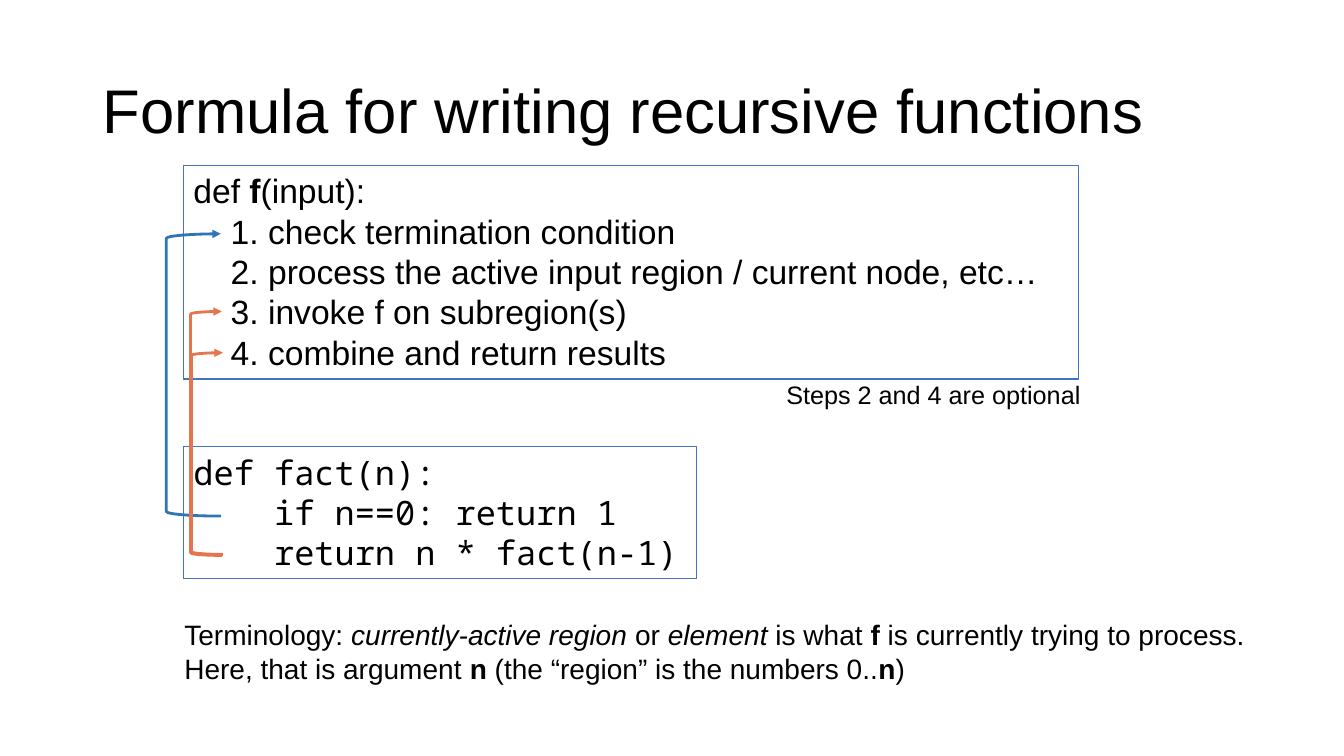
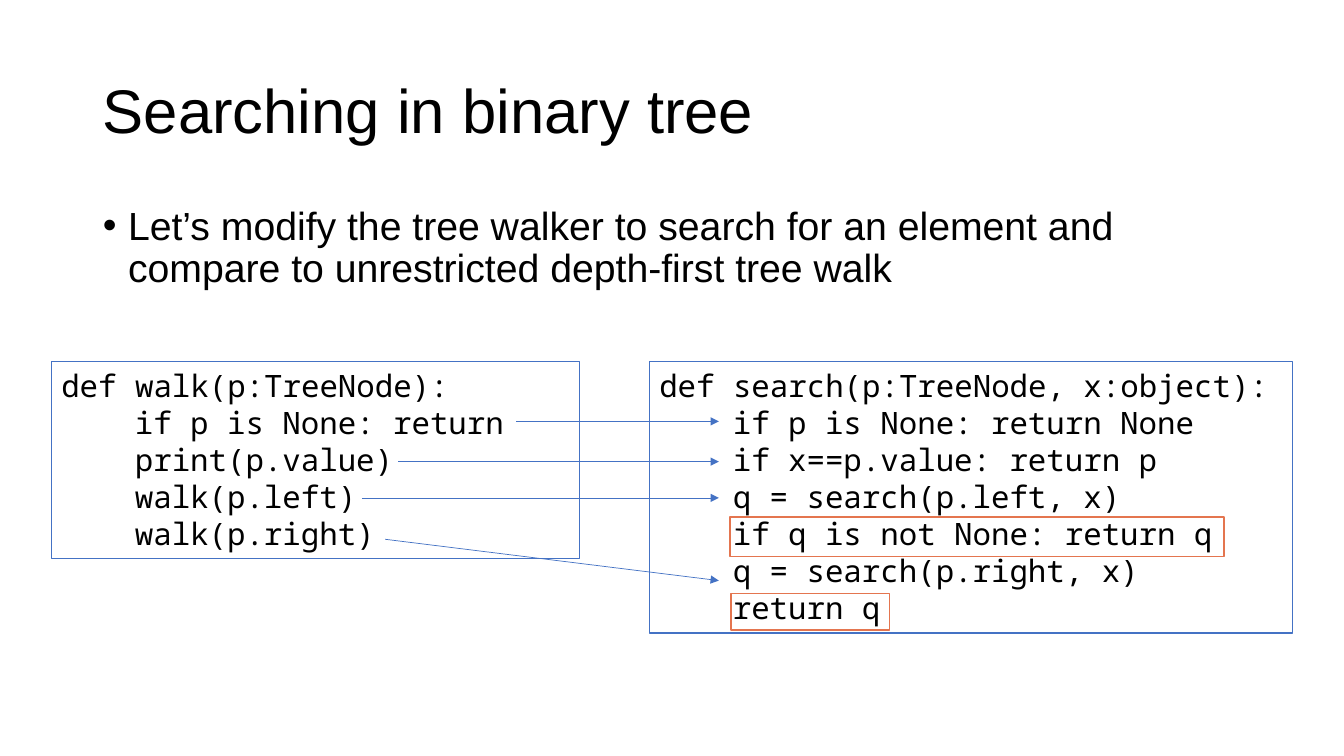
from pptx import Presentation
from pptx.dml.color import RGBColor
from pptx.enum.shapes import MSO_CONNECTOR, MSO_SHAPE
from pptx.enum.text import MSO_ANCHOR, MSO_AUTO_SIZE, PP_ALIGN
from pptx.oxml.ns import qn
from pptx.oxml.xmlchemy import OxmlElement
from pptx.util import Inches, Pt

BLACK = "000000"
BLUE = "4472C4"
DARK_BLUE = "2E75B6"
ORANGE = "E4754F"
BODY_FONT = "Arial"
CODE_FONT = "Noto Sans Mono"
TITLE_ONLY, TITLE_AND_CONTENT = 5, 1


def color(hex_value):
    return RGBColor.from_string(hex_value)


def inches(*lengths):
    return [Inches(length) for length in lengths]


def place(shape, left, top, width, height):
    shape.left, shape.top, shape.width, shape.height = inches(left, top, width, height)


def style_line(shape, hex_value, width):
    shape.line.color.rgb = color(hex_value)
    shape.line.width = Pt(width)


def add_arrowhead(shape):
    tail = OxmlElement("a:tailEnd")
    tail.set("type", "triangle")
    shape.element.spPr.find(qn("a:ln")).append(tail)


def set_indent(para, left, first=0):
    """Indent a paragraph; first is the offset of its first line."""
    properties = para._p.get_or_add_pPr()
    properties.set("marL", str(Inches(left)))
    properties.set("indent", str(Inches(first)))


def format_paragraph(para, size, font=BODY_FONT):
    para.alignment = PP_ALIGN.LEFT
    para.font.name = font
    para.font.size = Pt(size)
    para.font.color.rgb = color(BLACK)


def write_lines(shape, lines, size, font=BODY_FONT, indent=0):
    """Write lines, each a list of (text, style) spans; indent all but the first."""
    frame = shape.text_frame
    frame.word_wrap = True
    frame.vertical_anchor = MSO_ANCHOR.TOP
    for number, spans in enumerate(lines):
        para = frame.add_paragraph() if number else frame.paragraphs[0]
        format_paragraph(para, size, font)
        if number and indent:
            set_indent(para, indent)
        for text, style in spans:
            span = para.add_run()
            span.text = text
            if style == "bold":
                span.font.bold = True
            elif style == "italic":
                span.font.italic = True


def plain(*lines):
    return [[(line, None)] for line in lines]


def add_outline(slide, kind, bounds, hex_value, width):
    shape = slide.shapes.add_shape(kind, *inches(*bounds))
    shape.shadow.inherit = False
    shape.fill.background()
    style_line(shape, hex_value, width)
    return shape


def add_listing(slide, bounds, lines, size, font, indent):
    box = add_outline(slide, MSO_SHAPE.RECTANGLE, bounds, BLUE, 0.75)
    write_lines(box, lines, size, font, indent)


def add_note(slide, bounds, lines, size):
    write_lines(slide.shapes.add_textbox(*inches(*bounds)), lines, size)


def add_bracket_arrow(slide, bounds, hex_value):
    add_arrowhead(add_outline(slide, MSO_SHAPE.LEFT_BRACKET, bounds, hex_value, 2))


def add_arrow(slide, start, end):
    arrow = slide.shapes.add_connector(MSO_CONNECTOR.STRAIGHT, *inches(*start, *end))
    style_line(arrow, BLUE, 0.5)
    add_arrowhead(arrow)
    arrow.element.spPr.append(OxmlElement("a:effectLst"))


def add_slide(deck, layout, title):
    slide = deck.slides.add_slide(deck.slide_layouts[layout])
    heading = slide.shapes.title
    place(heading, 0.92, 0.4, 11.5, 1.45)
    heading.text = title
    heading.text_frame.vertical_anchor = MSO_ANCHOR.MIDDLE
    heading.text_frame.auto_size = MSO_AUTO_SIZE.NONE
    para = heading.text_frame.paragraphs[0]
    format_paragraph(para, 44)
    para.line_spacing = 0.9
    return slide


def fill_bullet(body, text):
    place(body, 0.92, 2, 11.5, 4.76)
    body.text = text
    body.text_frame.auto_size = MSO_AUTO_SIZE.NONE
    para = body.text_frame.paragraphs[0]
    format_paragraph(para, 28)
    para.line_spacing = 0.9
    para.space_before = Pt(10)
    set_indent(para, 0.25, -0.25)


def build_formula_slide(deck):
    slide = add_slide(deck, TITLE_ONLY, "Formula for writing recursive functions")
    add_listing(slide, (1.82, 4.43, 5.09, 1.31), plain(
        "def fact(n):",
        "if n==0: return 1",
        "return n * fact(n-1)",
    ), 24, CODE_FONT, 0.8)
    signature = [("def ", None), ("f", "bold"), ("(input):", None)]
    add_listing(slide, (1.82, 1.64, 8.88, 2.12), [signature] + plain(
        "1. check termination condition",
        "2. process the active input region / current node, etc…",
        "3. invoke f on subregion(s)",
        "4. combine and return results",
    ), 24, BODY_FONT, 0.37)
    add_note(slide, (7.7, 3.71, 3.15, 0.4), plain("Steps 2 and 4 are optional"), 18)
    add_note(slide, (1.73, 6.08, 10.79, 0.77), [
        [("Terminology: ", None), ("currently-active region ", "italic"),
         ("or ", None), ("element ", "italic"), ("is what ", None),
         ("f", "bold"), (" is currently trying to process.", None)],
        [("Here, that is argument ", None), ("n", "bold"),
         (" (the “region” is the numbers 0..", None), ("n", "bold"), (")", None)],
    ], 20)
    add_bracket_arrow(slide, (1.65, 2.32, 0.54, 2.8), DARK_BLUE)
    add_bracket_arrow(slide, (1.89, 3.09, 0.31, 2.42), ORANGE)
    add_bracket_arrow(slide, (1.9, 3.5, 0.31, 2), ORANGE)


def build_search_slide(deck):
    slide = add_slide(deck, TITLE_AND_CONTENT, "Searching in binary tree")
    fill_bullet(slide.placeholders[1], "Let’s modify the tree walker to search for an "
                "element and compare to unrestricted depth-first tree walk")
    add_listing(slide, (6.44, 3.59, 6.38, 2.69), plain(
        "def search(p:TreeNode, x:object):",
        "if p is None: return None",
        "if x==p.value: return p",
        "q = search(p.left, x)",
        "if q is not None: return q",
        "q = search(p.right, x)",
        "return q",
    ), 22, CODE_FONT, 0.73)
    add_listing(slide, (0.51, 3.59, 5.24, 1.95), plain(
        "def walk(p:TreeNode):",
        "if p is None: return",
        "print(p.value)",
        "walk(p.left)",
        "walk(p.right)",
    ), 22, CODE_FONT, 0.73)
    for left, top, end_top in [(5.12, 4.18, 4.18), (3.95, 4.58, 4.58),
                               (3.59, 4.94, 4.94), (3.82, 5.35, 5.76)]:
        add_arrow(slide, (left, top), (7.13, end_top))
    for bounds in [(7.24, 5.13, 4.9, 0.39), (7.25, 5.89, 1.57, 0.36)]:
        add_outline(slide, MSO_SHAPE.RECTANGLE, bounds, ORANGE, 1)


def main():
    deck = Presentation()
    deck.slide_width, deck.slide_height = inches(13.33, 7.5)
    build_formula_slide(deck)
    build_search_slide(deck)
    deck.save("out.pptx")


if __name__ == "__main__":
    main()
